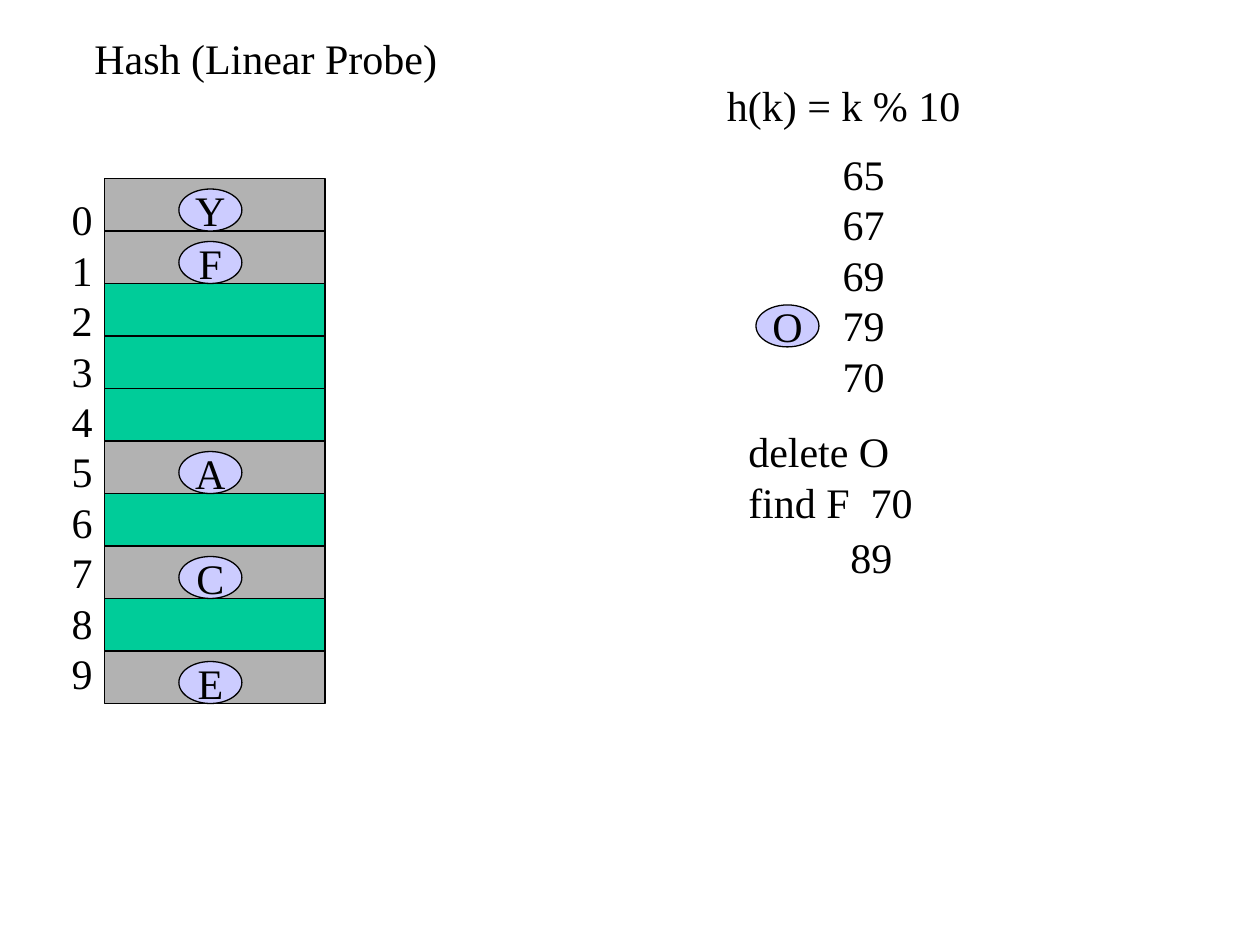
from pptx import Presentation
from pptx.dml.color import RGBColor
from pptx.enum.shapes import MSO_SHAPE
from pptx.enum.text import MSO_ANCHOR, MSO_AUTO_SIZE, PP_ALIGN
from pptx.util import Inches, Pt

RECT, OVAL = MSO_SHAPE.RECTANGLE, MSO_SHAPE.OVAL
TOP, MIDDLE = MSO_ANCHOR.TOP, MSO_ANCHOR.MIDDLE
LEFT, CENTER = PP_ALIGN.LEFT, PP_ALIGN.CENTER
FIXED, GROW = MSO_AUTO_SIZE.NONE, MSO_AUTO_SIZE.SHAPE_TO_FIT_TEXT
BLACK, GRAY, GREEN, LILAC = "000000", "B2B2B2", "00CC99", "CCCCFF"

deck = Presentation()
deck.slide_width, deck.slide_height = Inches(10), Inches(7.5)
slide = deck.slides.add_slide(deck.slide_layouts[6])


def write(shape, text, size=24, color=BLACK, align=LEFT, anchor=TOP, fit=GROW):
    """Put text into a shape, one paragraph per line."""
    frame = shape.text_frame
    frame.word_wrap = False
    frame.auto_size = fit
    frame.vertical_anchor = anchor
    frame.text = text
    for para in frame.paragraphs:
        para.alignment = align
        para.line_spacing = Pt(1.2 * size)
        font = para.runs[0].font
        font.name, font.size = "Times New Roman", Pt(size)
        font.color.rgb = RGBColor.from_string(color)


def draw(kind, x, y, w, h, fill):
    """Add a filled shape with a thin black outline."""
    shape = slide.shapes.add_shape(kind, Inches(x), Inches(y), Inches(w), Inches(h))
    shape.shadow.inherit = False
    shape.fill.solid()
    shape.fill.fore_color.rgb = RGBColor.from_string(fill)
    shape.line.color.rgb = RGBColor.from_string(BLACK)
    shape.line.width = Pt(0.74)
    return shape


labels = [
    (0.65, 0.21, 2.92, "Hash (Linear Probe)"),
    (0.47, 1.49, 0.36, "\n".join(str(slot) for slot in range(10))),
    (5.67, 0.58, 2.06, "h(k) = k % 10"),
    (6.59, 1.13, 0.53, "65\n67\n69\n79\n70"),
    (5.84, 3.33, 1.51, "delete O\nfind F  70"),
    (6.65, 4.17, 0.53, "89"),
]
for x, y, w, text in labels:
    h = 0.1 + 0.4 * len(text.split("\n"))
    write(slide.shapes.add_textbox(Inches(x), Inches(y), Inches(w), Inches(h)), text)

# Hash table: ten equal slots, gray where a key is stored
keys = {0: "Y", 1: "F", 5: "A", 7: "C", 9: "E"}
step = 5 / 12
first = 17 / 12
for slot in range(10):
    draw(RECT, 0.83, first + slot * step, 1.75, step, GRAY if slot in keys else GREEN)

balls = [(1.42, first + slot * step + 1 / 12, key) for slot, key in keys.items()]
balls.append((6, 2.42, "O"))
for x, y, key in balls:
    ball = draw(OVAL, x, y, 0.5, 1 / 3, LILAC)
    write(ball, key, align=CENTER, anchor=MIDDLE, fit=FIXED)

deck.save("out.pptx")
